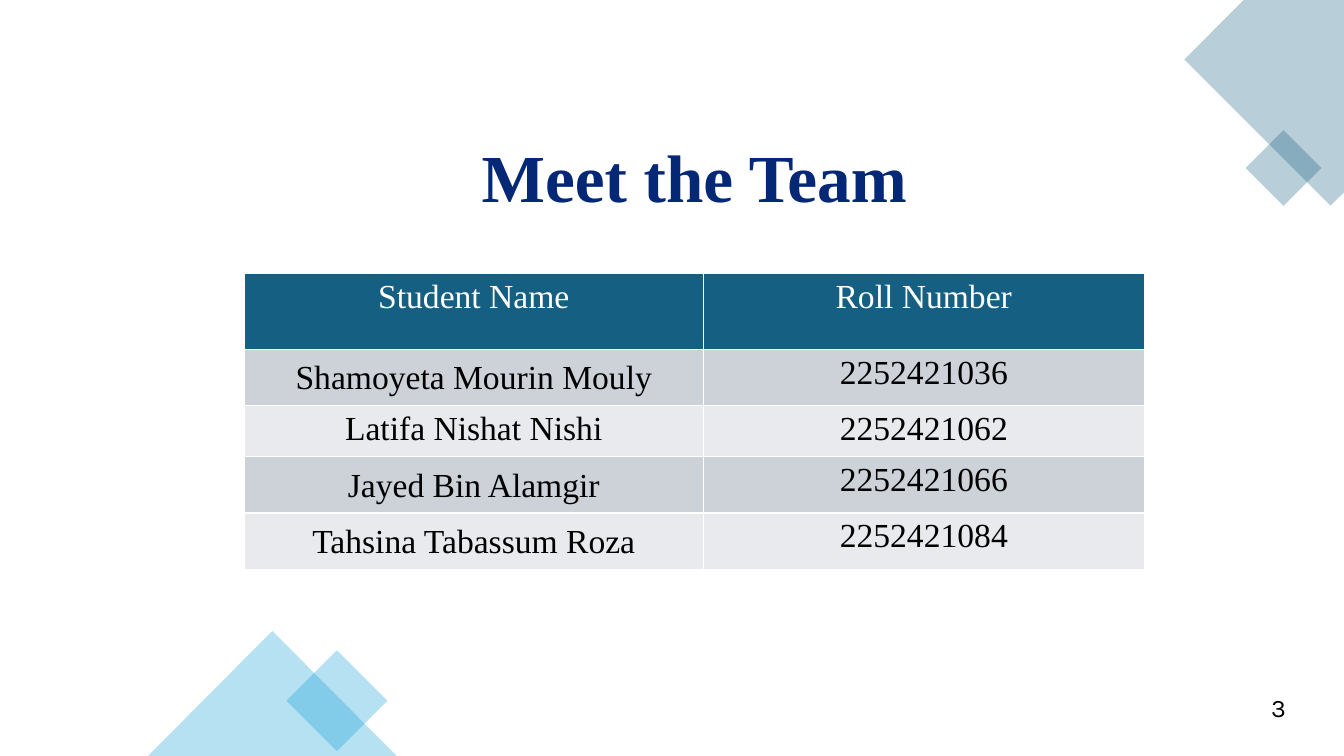
import dataclasses

import lxml.etree
import pptx
import pptx.dml.color
import pptx.enum.shapes
import pptx.enum.text
import pptx.oxml.ns
import pptx.util

Cm = pptx.util.Cm
Shape = pptx.enum.shapes.MSO_SHAPE
Align = pptx.enum.text.PP_ALIGN
qn = pptx.oxml.ns.qn


@dataclasses.dataclass(frozen=True)
class Theme:
    """Colours, fonts and type sizes of the slide."""
    backdrop: str = "0E2841"
    white: str = "FFFFFF"
    black: str = "000000"
    navy: str = "042776"
    teal: str = "156082"
    sky: str = "0F9ED5"
    bands: tuple = ("CCD2D8", "E8EAED")
    serif: str = "Times New Roman"
    sans: str = "Karla"
    title_size: float = 48
    table_size: float = 24
    number_size: float = 18
    border: float = 1
    opacity: int = 30


class SlideBuilder:
    """Holds the theme and the current slide, and adds elements to it."""

    def __init__(self, page, theme):
        self.page = page
        self.theme = theme

    def paint(self, fill, colour, opacity=100):
        """Give a fill a solid colour, translucent if asked."""
        fill.solid()
        fill.fore_color.rgb = pptx.dml.color.RGBColor.from_string(colour)
        if opacity < 100:
            colour_node = fill._xPr.find(qn("a:solidFill"))[0]
            alpha = lxml.etree.SubElement(colour_node, qn("a:alpha"))
            alpha.set("val", str(opacity * 1000))

    def finish(self, shape, colour, opacity):
        """Fill a shape and remove its outline and shadow."""
        self.paint(shape.fill, colour, opacity)
        shape.line.fill.background()
        shape.shadow.inherit = False

    def shape(self, kind, frame, colour, opacity=100, rotation=0):
        """Add a preset shape."""
        shape = self.page.shapes.add_shape(kind, *map(Cm, frame))
        shape.rotation = rotation
        self.finish(shape, colour, opacity)

    def outline(self, points, colour, opacity=100):
        """Add a closed freeform through points in centimetres."""
        start, *others = [(Cm(x), Cm(y)) for x, y in points]
        builder = self.page.shapes.build_freeform(*start)
        builder.add_line_segments(others, close=True)
        self.finish(builder.convert_to_shape(), colour, opacity)

    def set_text(self, para, text, font, size, colour, align, bold=False):
        """Fill and format one paragraph."""
        para.text = text
        para.alignment = align
        for span in para.runs:
            span.font.name = font
            span.font.size = pptx.util.Pt(size)
            span.font.bold = bold
            span.font.color.rgb = pptx.dml.color.RGBColor.from_string(colour)

    def text(self, frame, text, font, size, colour, align, bold=False):
        """Add a wrapped text box."""
        box = self.page.shapes.add_textbox(*map(Cm, frame))
        box.text_frame.word_wrap = True
        self.set_text(box.text_frame.paragraphs[0], text, font, size, colour, align, bold)

    def border(self, cell):
        """Draw a thin white border round a cell."""
        properties = cell._tc.get_or_add_tcPr()
        for index, side in enumerate(("lnL", "lnR", "lnT", "lnB")):
            line = lxml.etree.Element(qn(f"a:{side}"), w=str(pptx.util.Pt(self.theme.border)))
            fill = lxml.etree.SubElement(line, qn("a:solidFill"))
            lxml.etree.SubElement(fill, qn("a:srgbClr"), val=self.theme.white)
            properties.insert(index, line)

    def table(self, frame, rows, widths, heights, spaced_rows):
        """Add a banded table with a coloured header row."""
        theme = self.theme
        table = self.page.shapes.add_table(len(rows), len(widths), *map(Cm, frame)).table
        for column, width in zip(table.columns, widths):
            column.width = Cm(width)
        for row_index, (values, height) in enumerate(zip(rows, heights)):
            table.rows[row_index].height = Cm(height)
            header = row_index == 0
            fill = theme.teal if header else theme.bands[(row_index - 1) % 2]
            colour = theme.white if header else theme.black
            for column_index, value in enumerate(values):
                cell = table.cell(row_index, column_index)
                para = cell.text_frame.paragraphs[0]
                self.set_text(para, value, theme.serif, theme.table_size, colour, Align.CENTER)
                if column_index == 0 and row_index in spaced_rows:
                    para.line_spacing = 1.15
                self.paint(cell.fill, fill)
                self.border(cell)


def main():
    """Build the team slide."""
    theme = Theme()
    deck = pptx.Presentation()
    deck.slide_width, deck.slide_height = Cm(33.87), Cm(19.05)
    page = deck.slides.add_slide(deck.slide_layouts[6])
    slide = SlideBuilder(page, theme)
    slide.paint(page.background.fill, theme.backdrop)
    slide.shape(Shape.RECTANGLE, (0, 0, 33.87, 19.05), theme.white)

    corner = [(33.87, 0), (31.34, 0), (29.85, 1.5), (33.53, 5.18), (33.87, 4.85)]
    slide.outline(corner, theme.teal, theme.opacity)
    slide.shape(Shape.RECTANGLE, (31.67, 3.56, 1.35, 1.35), theme.teal, theme.opacity, 45)
    slide.shape(Shape.RECTANGLE, (7.59, 16.76, 1.8, 1.8), theme.sky, theme.opacity, 45)
    slide.shape(Shape.ISOSCELES_TRIANGLE, (3.73, 15.9, 6.27, 3.15), theme.sky, theme.opacity)

    slide.text((8.18, 3.28, 18.64, 2.31), "Meet the Team", theme.serif,
               theme.title_size, theme.navy, Align.CENTER, bold=True)
    team = [
        ("Student Name", "Roll Number"),
        ("Shamoyeta Mourin Mouly", "2252421036"),
        ("Latifa Nishat Nishi", "2252421062"),
        ("Jayed Bin Alamgir", "2252421066"),
        ("Tahsina Tabassum Roza", "2252421084"),
    ]
    slide.table((6.16, 6.9, 22.68, 7.45), team, (11.56, 11.12),
                (1.9, 1.42, 1.28, 1.42, 1.42), spaced_rows={1, 3, 4})
    slide.text((27.81, 17.32, 4.85, 1.02), "3", theme.sans,
               theme.number_size, theme.black, Align.RIGHT)
    deck.save("out.pptx")


if __name__ == "__main__":
    main()
